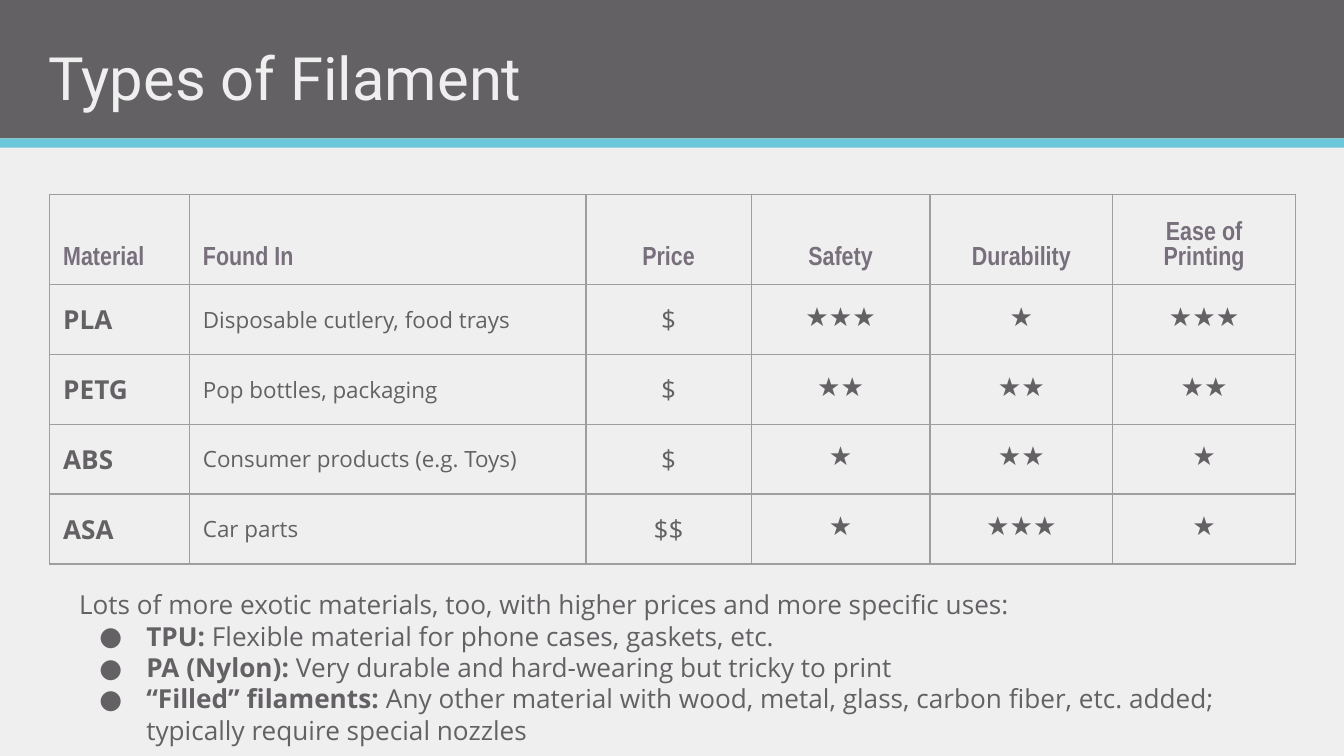
from lxml import etree
from pptx import Presentation
from pptx.dml.color import RGBColor
from pptx.enum.shapes import MSO_SHAPE
from pptx.enum.text import MSO_ANCHOR, PP_ALIGN
from pptx.oxml.ns import qn
from pptx.util import Inches, Pt

GRAY = RGBColor(0x63, 0x61, 0x63)
PALE = RGBColor(0xF0, 0xEF, 0xF0)
CYAN = RGBColor(0x6D, 0xC7, 0xDB)
MAUVE = RGBColor(0x77, 0x6F, 0x7B)
BORDER = RGBColor(0x9E, 0x9E, 0x9E)

HEADERS = ["Material", "Found In", "Price", "Safety", "Durability", "Ease of Printing"]
COL_WIDTHS = [1.04, 2.95, 1.23, 1.33, 1.36, 1.36]
ROW_HEIGHT = 0.52
# Material, found in, price, then stars for safety, durability and ease
MATERIALS = [
    ("PLA", "Disposable cutlery, food trays", "$", 3, 1, 3),
    ("PETG", "Pop bottles, packaging", "$", 2, 2, 2),
    ("ABS", "Consumer products (e.g. Toys)", "$", 1, 2, 1),
    ("ASA", "Car parts", "$$", 1, 3, 1),
]
# Font, size and boldness of each body column
COL_STYLES = [("Open Sans", 14, True), ("Open Sans", 12, False),
              ("Open Sans", 14, False)] + [("Arial Narrow", 14, False)] * 3

INTRO = "Lots of more exotic materials, too, with higher prices and more specific uses:"
EXOTICS = [
    ("TPU:", " Flexible material for phone cases, gaskets, etc."),
    ("PA (Nylon):", " Very durable and hard-wearing but tricky to print"),
    ("“Filled” filaments:", " Any other material with wood, metal, glass, carbon fiber, "
                            "etc. added; typically require special nozzles"),
]


def add_run(p, text, font, size, color, bold=False):
    r = p.add_run()
    r.text = text
    r.font.name = font
    r.font.size = Pt(size)
    r.font.bold = bold
    r.font.color.rgb = color


def add_bar(s, x, y, w, h, color):
    sp = s.shapes.add_shape(MSO_SHAPE.RECTANGLE, Inches(x), Inches(y), Inches(w), Inches(h))
    sp.shadow.inherit = False
    sp.fill.solid()
    sp.fill.fore_color.rgb = color
    sp.line.fill.background()


def add_text_frame(s, x, y, w, h):
    tf = s.shapes.add_textbox(Inches(x), Inches(y), Inches(w), Inches(h)).text_frame
    tf.word_wrap = True
    tf.margin_left = tf.margin_right = tf.margin_top = tf.margin_bottom = Inches(0.1)
    return tf


def add_header(s, x, y, w, h):
    stripe = 0.07
    add_bar(s, x, y, w, h - stripe, GRAY)
    add_bar(s, x, y + h - stripe, w, stripe, CYAN)
    tf = add_text_frame(s, x + 0.26, y + 0.1, 8.99, 0.84)
    tf.vertical_anchor = MSO_ANCHOR.BOTTOM
    add_run(tf.paragraphs[0], "Types of Filament", "Roboto", 32, PALE)


def set_borders(cell):
    tcPr = cell._tc.get_or_add_tcPr()
    for side in ("lnL", "lnR", "lnT", "lnB"):
        ln = etree.SubElement(tcPr, qn(f"a:{side}"), w=str(Pt(0.75)))
        fill = etree.SubElement(ln, qn("a:solidFill"))
        etree.SubElement(fill, qn("a:srgbClr"), val=str(BORDER))


def set_end_font(p, font, size):
    """Give the paragraph mark the text's font, so it does not stretch the row."""
    end = etree.SubElement(p._p, qn("a:endParaRPr"), sz=str(size * 100))
    etree.SubElement(end, qn("a:latin"), typeface=font)


def fill_cell(cell, text, anchor, centered, font, size, color, bold):
    set_borders(cell)
    cell.fill.background()
    cell.margin_left = cell.margin_right = cell.margin_top = cell.margin_bottom = Inches(0.1)
    cell.vertical_anchor = anchor
    p = cell.text_frame.paragraphs[0]
    p.alignment = PP_ALIGN.CENTER if centered else PP_ALIGN.LEFT
    add_run(p, text, font, size, color, bold)
    set_end_font(p, font, size)


def add_materials_table(s, x, y):
    rows = len(MATERIALS) + 1
    table = s.shapes.add_table(rows, len(COL_WIDTHS), Inches(x), Inches(y),
                               Inches(sum(COL_WIDTHS)), Inches(rows * ROW_HEIGHT)).table
    table.first_row = table.horz_banding = False
    for col, width in zip(table.columns, COL_WIDTHS):
        col.width = Inches(width)
    for row in table.rows:
        row.height = Inches(ROW_HEIGHT)
    for j, text in enumerate(HEADERS):
        fill_cell(table.cell(0, j), text, MSO_ANCHOR.BOTTOM, j >= 2,
                  "Arial Narrow", 14, MAUVE, True)
    for i, material in enumerate(MATERIALS, 1):
        for j, (value, (font, size, bold)) in enumerate(zip(material, COL_STYLES)):
            text = "★" * value if isinstance(value, int) else value
            fill_cell(table.cell(i, j), text, MSO_ANCHOR.MIDDLE, j >= 2,
                      font, size, GRAY, bold)


def set_bullet(p):
    pPr = p._p.get_or_add_pPr()
    pPr.set("marL", str(Inches(0.5)))
    pPr.set("indent", str(Inches(-0.35)))
    color = etree.SubElement(pPr, qn("a:buClr"))
    etree.SubElement(color, qn("a:srgbClr"), val=str(GRAY))
    etree.SubElement(pPr, qn("a:buSzPts"), val="1400")
    etree.SubElement(pPr, qn("a:buFont"), typeface="Open Sans")
    etree.SubElement(pPr, qn("a:buChar"), char="●")


def add_exotic_notes(s, x, y, w, h):
    tf = add_text_frame(s, x, y, w, h)
    add_run(tf.paragraphs[0], INTRO, "Open Sans", 14, GRAY)
    for name, description in EXOTICS:
        p = tf.add_paragraph()
        set_bullet(p)
        add_run(p, name, "Open Sans", 14, GRAY, True)
        add_run(p, description, "Open Sans", 14, GRAY)


def main():
    prs = Presentation()
    prs.slide_width, prs.slide_height = Inches(10), Inches(5.625)
    s = prs.slides.add_slide(prs.slide_layouts[6])
    s.background.fill.solid()
    s.background.fill.fore_color.rgb = PALE
    add_header(s, 0, 0, 10, 1.1)
    add_materials_table(s, 0.37, 1.45)
    add_exotic_notes(s, 0.49, 4.28, 8.89, 1.38)
    prs.save("out.pptx")


if __name__ == "__main__":
    main()
